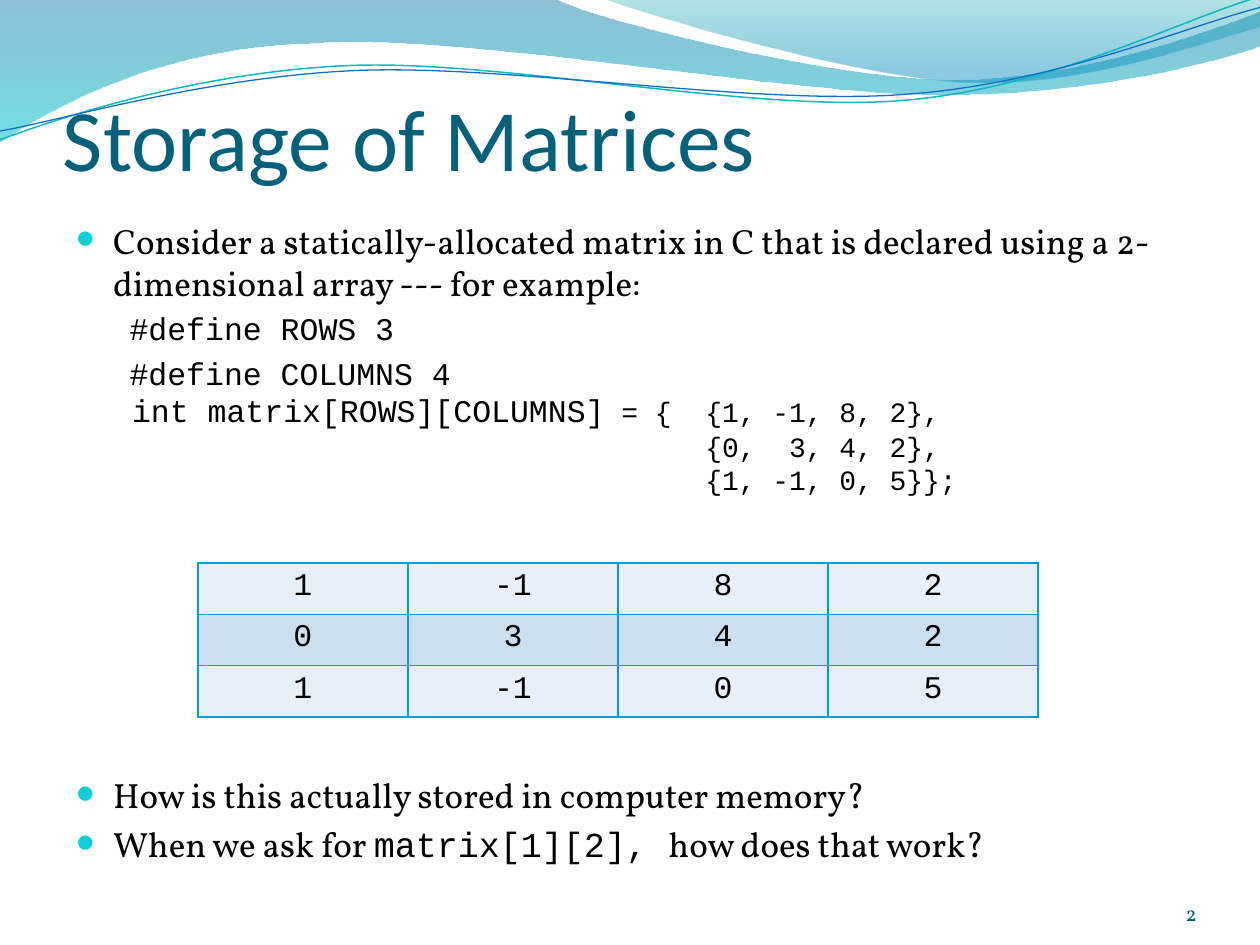
from math import cos, radians, sin

from lxml import etree
from pptx import Presentation
from pptx.dml.color import RGBColor
from pptx.enum.text import MSO_ANCHOR, PP_ALIGN
from pptx.oxml.ns import qn
from pptx.util import Inches, Pt

TOP, BOTTOM = MSO_ANCHOR.TOP, MSO_ANCHOR.BOTTOM
LEFT, CENTER, RIGHT = PP_ALIGN.LEFT, PP_ALIGN.CENTER, PP_ALIGN.RIGHT


def color(value):
    return RGBColor.from_string(value)


def add_xml(parent, tag, **attributes):
    return etree.SubElement(parent, qn(tag), attributes)


def turned(point, center, degrees):
    angle = radians(degrees)
    dx, dy = point[0] - center[0], point[1] - center[1]
    return (center[0] + dx * cos(angle) - dy * sin(angle),
            center[1] + dx * sin(angle) + dy * cos(angle))


def bend(shape, segments):
    corners = iter(list(shape.element.spPr.iter(qn("a:lnTo"))))
    for segment in segments:
        corner = next(corners)
        if len(segment) == 6:
            corner.addprevious(etree.Element(qn("a:cubicBezTo")))
            curve = corner.getprevious()
            for control in (corner, next(corners), next(corners)):
                curve.append(control[0])
                control.getparent().remove(control)


class Deck:
    serif, mono, heading = "Vollkorn", "Courier New", "Calibri"
    ink, accent, bullet_color = "000000", "009DD9", "0BD0D9"
    bands = ("E7EFF8", "CCDFF1")
    tilt = 2.7

    def __init__(self, width, height):
        self.presentation = Presentation()
        self.presentation.slide_width = Inches(width)
        self.presentation.slide_height = Inches(height)
        self.slide = self.presentation.slides.add_slide(self.presentation.slide_layouts[6])

    def outline(self, start, segments, close, center=(0, 0), tilt=0):
        points = [start]
        for segment in segments:
            points += zip(segment[::2], segment[1::2])
        level = [turned(point, center, tilt) for point in points]
        first, *rest = [(Inches(x), Inches(y)) for x, y in level]
        builder = self.slide.shapes.build_freeform(*first, scale=1.0)
        builder.add_line_segments(rest, close=close)
        shape = builder.convert_to_shape()
        bend(shape, segments)
        shape.rotation = -tilt
        shape.shadow.inherit = False
        return shape

    def wave(self, start, segments, stops):
        shape = self.outline(start, segments, True)
        shape.line.fill.background()
        shape.fill.gradient()
        shape.fill.gradient_angle = 270
        for stop, (position, value, _) in zip(shape.fill.gradient_stops, stops):
            stop.position = position
            stop.color.rgb = color(value)
        tints = shape.element.spPr.iter(qn("a:srgbClr"))
        for tint, (_, _, opacity) in zip(tints, stops):
            add_xml(tint, "a:alpha", val=str(opacity * 1000))

    def strand(self, start, segments, center, value, width):
        shape = self.outline(start, segments, False, center, self.tilt)
        shape.fill.background()
        shape.line.color.rgb = color(value)
        shape.line.width = Pt(width)

    def runs(self, paragraph, pieces):
        for words, font, size, value in pieces:
            run = paragraph.add_run()
            run.text = words
            for name, setting in {"name": font, "size": Pt(size)}.items():
                setattr(run.font, name, setting)
            run.font.color.rgb = color(value)

    def text(self, box, paragraphs, anchor=TOP, margins=(0.1, 0.05, 0.1, 0.05)):
        frame = self.slide.shapes.add_textbox(*map(Inches, box)).text_frame
        sides = ("margin_left", "margin_top", "margin_right", "margin_bottom")
        layout = dict(zip(sides, map(Inches, margins)), word_wrap=True, vertical_anchor=anchor)
        for name, setting in layout.items():
            setattr(frame, name, setting)
        for index, (pieces, style) in enumerate(paragraphs):
            paragraph = frame.add_paragraph() if index else frame.paragraphs[0]
            properties = paragraph._p.get_or_add_pPr()
            left, hanging = style.get("indent", (0, 0))
            properties.set("marL", str(Inches(left)))
            properties.set("indent", str(Inches(hanging)))
            if "bullet" in style:
                add_xml(add_xml(properties, "a:buClr"), "a:srgbClr", val=self.bullet_color)
                add_xml(properties, "a:buSzPct", val="95000")
                add_xml(properties, "a:buFont", typeface=self.mono)
                add_xml(properties, "a:buChar", char=style["bullet"])
            paragraph.alignment = style.get("align", LEFT)
            paragraph.space_before = Pt(style.get("before", 0) if index else 0)
            self.runs(paragraph, pieces)

    def table(self, box, values):
        grid = self.slide.shapes.add_table(len(values), len(values[0]), *map(Inches, box)).table
        for r, row in enumerate(values):
            for c, value in enumerate(row):
                cell = grid.cell(r, c)
                properties = cell._tc.get_or_add_tcPr()
                for side in ("a:lnL", "a:lnR", "a:lnT", "a:lnB"):
                    border = add_xml(properties, side, w=str(Pt(1)))
                    add_xml(add_xml(border, "a:solidFill"), "a:srgbClr", val=self.accent)
                cell.fill.solid()
                cell.fill.fore_color.rgb = color(self.bands[r % 2])
                paragraph = cell.text_frame.paragraphs[0]
                paragraph.alignment = CENTER
                self.runs(paragraph, [(str(value), self.mono, 18, self.ink)])


def main():
    deck = Deck(10, 7.5)
    deck.wave((0, 0), [
        (4.4, -0.01), (4.76, 0.17, 6.64, 0.63, 7.58, 0.63), (8.53, 0.63, 9.58, 0.26, 10, 0.09),
        (10.01, 0.36), (9.83, 0.44, 8.7, 0.76, 7.46, 0.75), (6.22, 0.75, 3.82, 0.28, 2.57, 0.34),
        (1.29, 0.36, 0.46, 0.83, -0.01, 1.13),
    ], [(0, "0074A1", 45), (1, "00C6CF", 55)])
    deck.wave((4.79, -0.01), [
        (5.09, 0.11, 6.82, 0.62, 7.69, 0.65), (8.56, 0.69, 9.61, 0.32, 10, 0.21), (10, 0),
    ], [(0, "00A1A9", 30), (0.8, "008BBF", 45)])
    deck.strand((0, 1.11), [
        (0.48, 0.93, 1.58, 0.57, 2.77, 0.52), (3.95, 0.47, 5.93, 0.89, 7.13, 0.8),
        (8.33, 0.71, 9.38, 0.15, 9.98, -0.02),
    ], (4.99, 0.58), "0AB8BF", 0.85)
    deck.strand((0, 1.04), [
        (0.47, 0.96, 1.64, 0.61, 2.83, 0.56), (4.03, 0.51, 5.97, 0.84, 7.17, 0.75),
        (8.36, 0.67, 9.41, 0.21, 10, 0.06),
    ], (5, 0.59), "0F6FC6", 0.75)

    def prose(words):
        return words, deck.serif, 20, deck.ink

    def code(words, size=18):
        return words, deck.mono, size, deck.ink

    point = {"indent": (0.3, -0.3), "bullet": "●", "before": 4}
    define = {"indent": (0.7, -0.27), "before": 3.6}
    matrix_row = {"indent": (5, 0)}
    title = ("Storage of Matrices", deck.heading, 50, "04617B")
    deck.text((0.5, 0.58, 9, 0.92), [([title], {})], BOTTOM, (0, 0.05, 0, 0))
    deck.text((0.5, 1.69, 9, 2.4), [
        ([prose("Consider a statically-allocated matrix in C that is declared using a "
                "2-dimensional array --- for example:")], point),
        ([code("#define ROWS 3")], define),
        ([code("#define COLUMNS 4")], define),
        ([code("   int matrix[ROWS][COLUMNS]"), code(" = {\t{1, -1, 8, 2},", 16)], {}),
        ([code("{0,  3, 4, 2},", 16)], matrix_row),
        ([code("{1, -1, 0, 5}};", 16)], matrix_row),
    ])
    deck.table((1.57, 4.47, 6.67, 1.22), [[1, -1, 8, 2], [0, 3, 4, 2], [1, -1, 0, 5]])
    deck.text((0.5, 6.09, 9, 0.85), [
        ([prose("How is this actually stored in computer memory?")], point),
        ([prose("When we ask for "), code("matrix[1][2], ", 20),
          prose("how does that work?")], point),
    ])
    page = ("2", deck.serif, 12, "045D75")
    deck.text((8.67, 6.95, 0.83, 0.4), [([page], {"align": RIGHT})], BOTTOM, (0, 0, 0, 0))
    deck.presentation.save("out.pptx")


if __name__ == "__main__":
    main()
